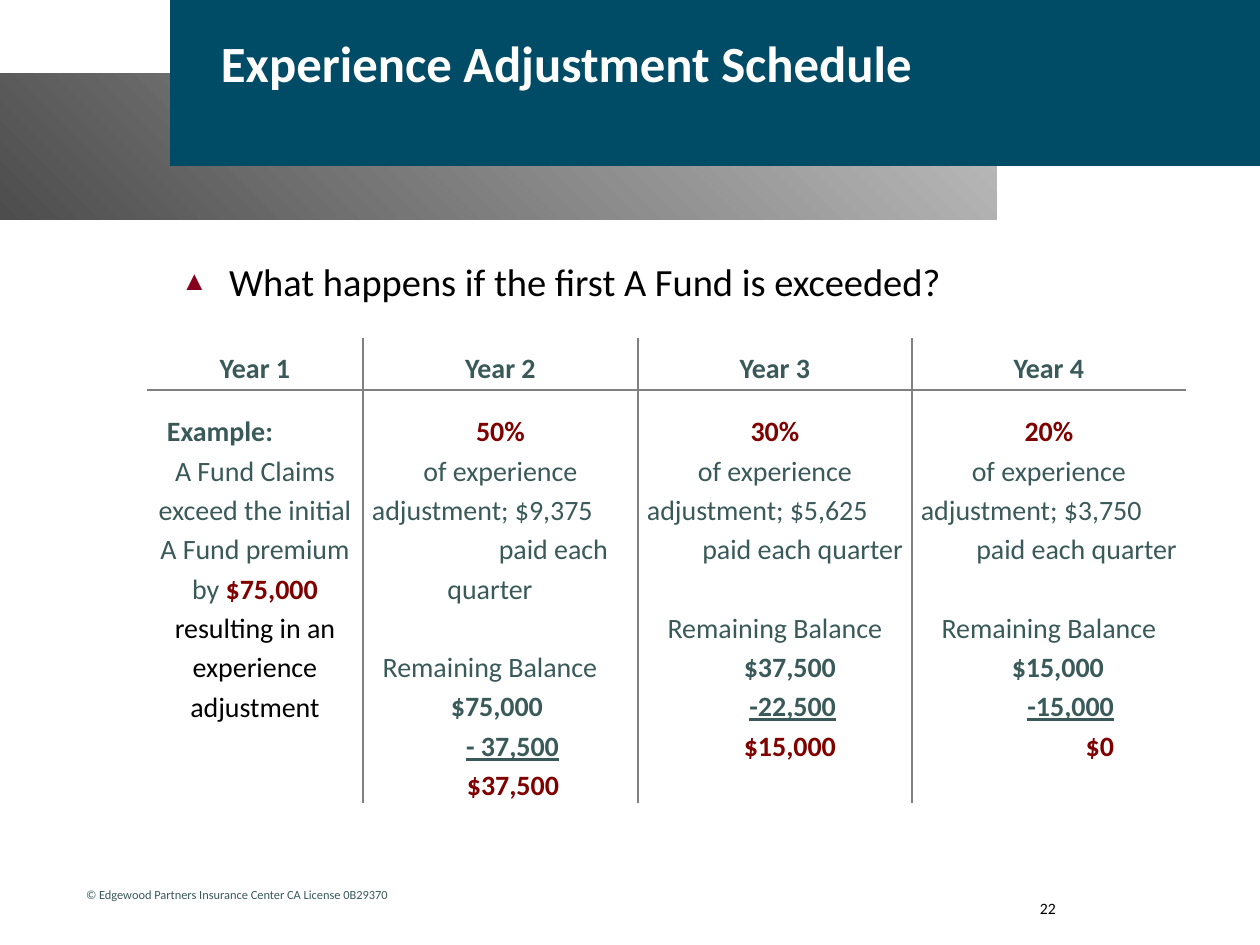
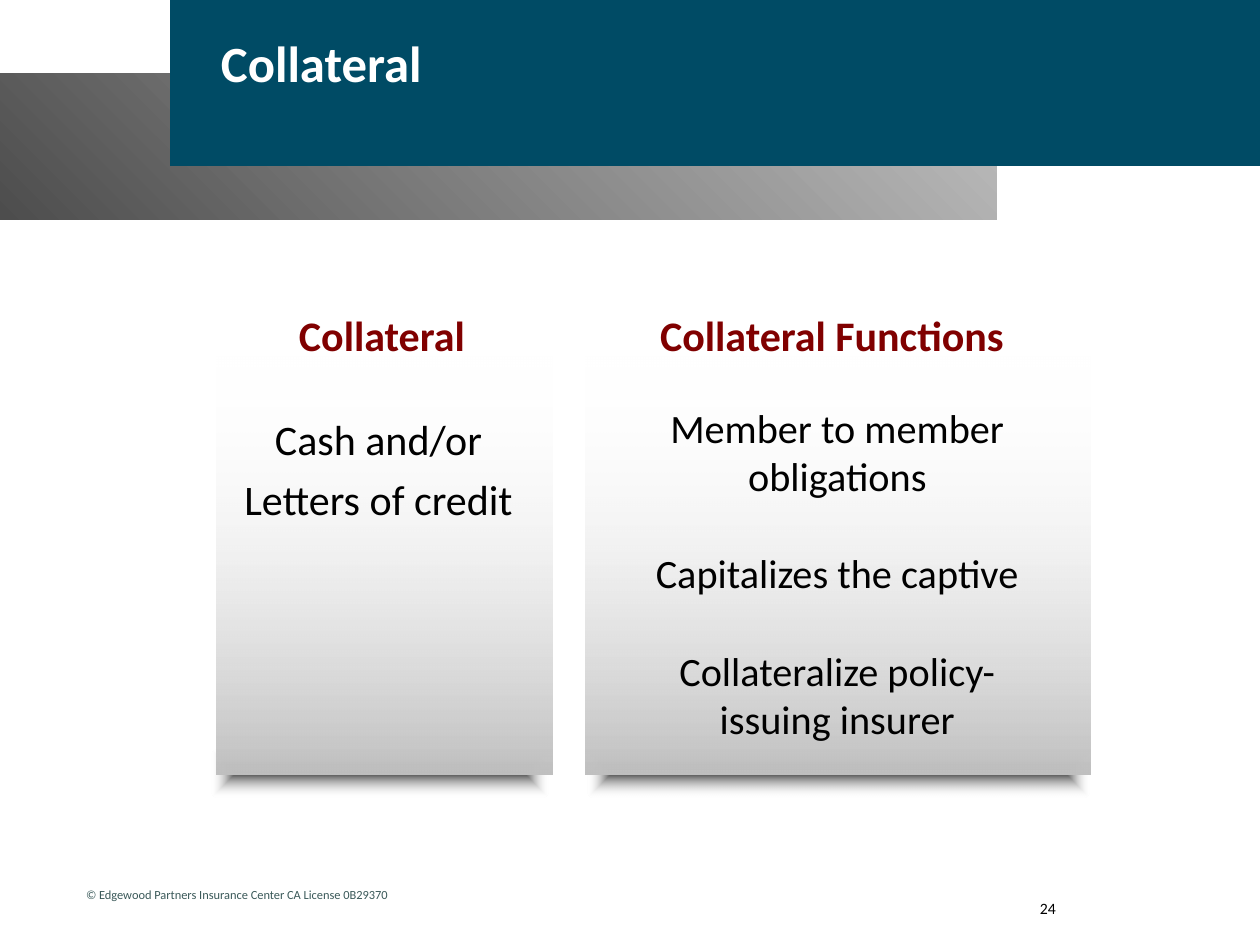
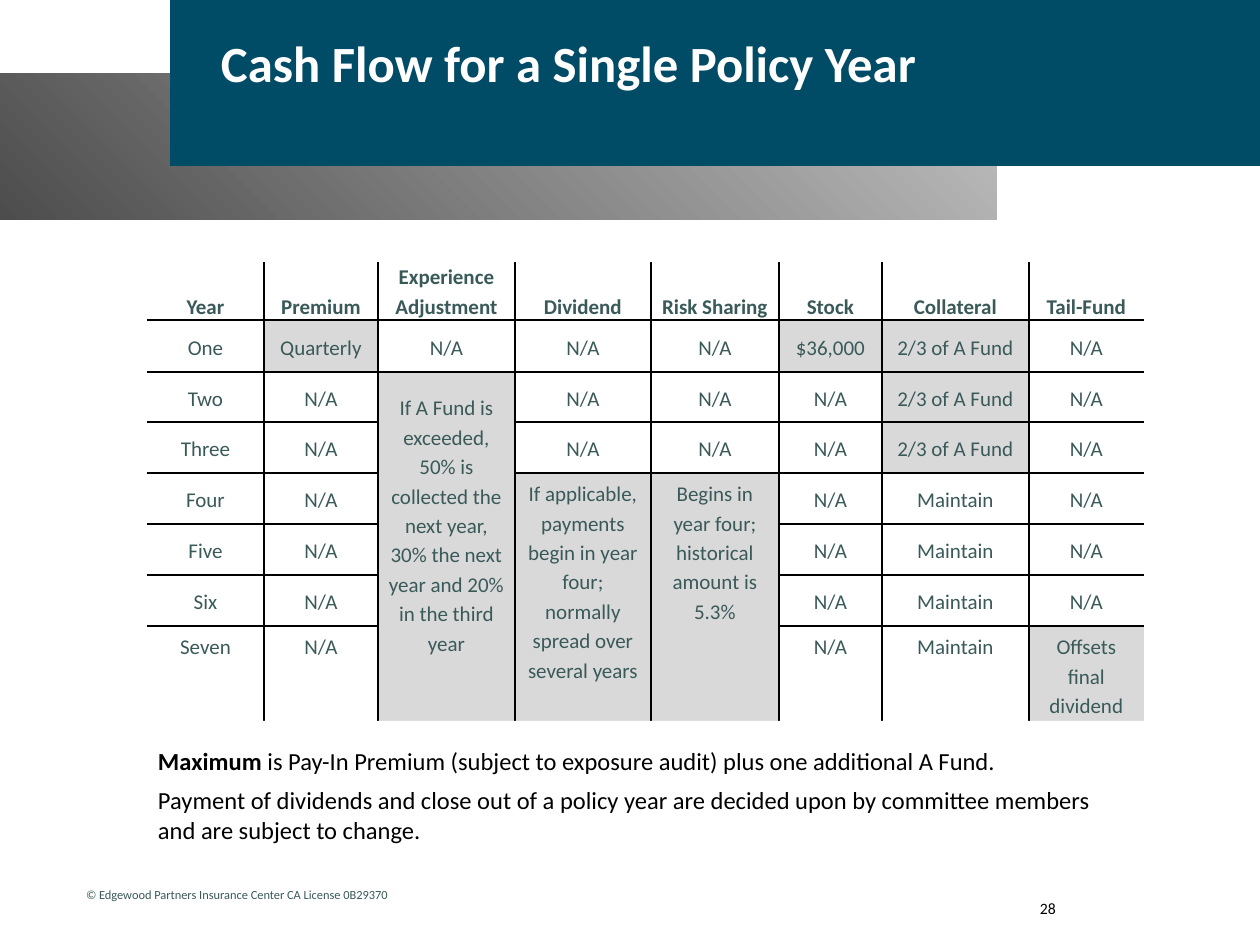
from dataclasses import dataclass

import lxml.etree
import pptx
import pptx.dml.color
import pptx.enum.shapes
import pptx.enum.text
import pptx.oxml
import pptx.oxml.ns
import pptx.util

ALIGN = pptx.enum.text.PP_ALIGN
ANCHOR = pptx.enum.text.MSO_ANCHOR
SHAPE = pptx.enum.shapes.MSO_SHAPE
NO_TABLE_STYLE = "{2D5ABB26-0587-4C30-8999-92F81FD0307C}"


@dataclass(frozen=True)
class Theme:
    font: str = "Calibri"
    navy: str = "004B65"
    slate: str = "3A5959"
    maroon: str = "800000"
    bullet: str = "86001E"
    black: str = "000000"
    white: str = "FFFFFF"
    dark_grey: str = "4D4D4D"
    band_grey: str = "BFBFBF"
    panel_grey: str = "C0C0C0"
    rule_grey: str = "808080"
    cell_grey: str = "D9D9D9"
    title_size: float = 29
    card_size: float = 24
    function_size: float = 23
    bullet_size: float = 22
    schedule_size: float = 16
    note_size: float = 14
    grid_size: float = 12
    number_size: float = 9
    footer_size: float = 7.1


THEME = Theme()


@dataclass
class Span:
    text: str
    size: float
    color: str = THEME.black
    bold: bool = False
    underline: bool = False


@dataclass
class Para:
    spans: list
    align: ALIGN = ALIGN.LEFT
    line: float = 1.0
    before: int = 0
    left: int = 0
    right: int = 0
    bullet: str = ""


@dataclass
class Cell:
    paras: list
    anchor: ANCHOR = ANCHOR.MIDDLE
    top: int = 0
    fill: str = ""


@dataclass
class Card:
    box: tuple
    shadow: tuple
    heading: tuple
    body: tuple


def px(count):
    return pptx.util.Emu(round(count * 914400 / 126))


def place(box):
    return [px(length) for length in box]


def rgb(color):
    return pptx.dml.color.RGBColor.from_string(color)


def add_element(parent, tag, **attributes):
    child = lxml.etree.SubElement(parent, pptx.oxml.ns.qn(tag))
    for name, value in attributes.items():
        child.set(name, str(value))
    return child


def add_bullet(para, mark):
    settings = para._p.get_or_add_pPr()
    settings.set("marL", str(px(48)))
    settings.set("indent", str(-px(48)))
    add_element(add_element(settings, "a:buClr"), "a:srgbClr", val=THEME.bullet)
    add_element(settings, "a:buSzPct", val=70000)
    add_element(settings, "a:buChar", char=mark)


def write(frame, paras):
    for index, source in enumerate(paras):
        para = frame.add_paragraph() if index else frame.paragraphs[0]
        if source.bullet:
            add_bullet(para, source.bullet)
        elif source.left or source.right:
            settings = para._p.get_or_add_pPr()
            settings.set("marL", str(px(source.left)))
            settings.set("marR", str(px(source.right)))
        para.alignment = source.align
        para.line_spacing = source.line
        para.space_before = px(source.before)
        for part in source.spans:
            for row, text in enumerate(part.text.split("\n")):
                if row:
                    para.add_line_break()
                span = para.add_run()
                span.text = text
                span.font.name = THEME.font
                span.font.size = pptx.util.Pt(part.size)
                span.font.bold = part.bold
                span.font.underline = part.underline
                span.font.color.rgb = rgb(part.color)


def set_insets(frame, across, down):
    frame.margin_left = frame.margin_right = px(across)
    frame.margin_top = frame.margin_bottom = px(down)


def add_text(page, box, paras, wrap=True, insets=(13, 6), anchor=ANCHOR.TOP):
    frame = page.shapes.add_textbox(*place(box)).text_frame
    frame.word_wrap = wrap
    frame.vertical_anchor = anchor
    set_insets(frame, *insets)
    write(frame, paras)
    return frame


def fill_placeholder(holder, box, paras, insets):
    holder.left, holder.top, holder.width, holder.height = place(box)
    frame = holder.text_frame
    frame.auto_size = pptx.enum.text.MSO_AUTO_SIZE.NONE
    frame.word_wrap = True
    frame.vertical_anchor = ANCHOR.TOP
    set_insets(frame, *insets)
    write(frame, paras)


def add_block(shapes, box, color="", kind=SHAPE.RECTANGLE):
    block = shapes.add_shape(kind, *place(box))
    block.shadow.inherit = False
    block.line.fill.background()
    if color:
        block.fill.solid()
        block.fill.fore_color.rgb = rgb(color)
    return block


def fill_gradient(block, stops, angle=None):
    gradient = pptx.oxml.parse_xml(
        f'<a:gradFill {pptx.oxml.ns.nsdecls("a")} rotWithShape="1"/>')
    stop_list = add_element(gradient, "a:gsLst")
    for position, color, opacity in stops:
        stop = add_element(stop_list, "a:gs", pos=position * 1000)
        shade = add_element(stop, "a:srgbClr", val=color)
        if opacity < 100:
            add_element(shade, "a:alpha", val=opacity * 1000)
    if angle is None:
        shape_fill = add_element(gradient, "a:path", path="shape")
        add_element(shape_fill, "a:fillToRect", l=50000, t=50000, r=50000, b=50000)
    else:
        add_element(gradient, "a:lin", ang=angle * 60000, scaled=0)
    block._element.spPr.find(pptx.oxml.ns.qn("a:prstGeom")).addnext(gradient)


def build_master(deck, page):
    grey_band = add_block(page.shapes, (-1, 73, 998, 147))
    fill_gradient(grey_band, [(0, THEME.dark_grey, 100), (100, THEME.band_grey, 100)], 315)
    add_block(page.shapes, (170, -1, 1091, 167), THEME.navy)
    add_text(page, (73, 881, 372, 28),
             [Para([Span("© Edgewood Partners Insurance Center CA License 0B29370",
                         THEME.footer_size, THEME.slate)])], wrap=False)
    tree = deck.slide_master.shapes._spTree
    for offset, item in enumerate(list(page.shapes)[-3:]):
        item._element.nvSpPr.cNvPr.set("id", str(20 + offset))
        tree.insert(2 + offset, item._element)


def add_page(deck, layout, title):
    page = deck.slides.add_slide(deck.slide_layouts[layout])
    heading = Span(title, THEME.title_size, THEME.white, True)
    fill_placeholder(page.shapes.title, (221, 26, 987, 59),
                     [Para([heading], line=1.1)], (0, 0))
    return page


def add_number(page, number):
    add_text(page, (1040, 892, 168, 32), [Para([Span(number, THEME.number_size)])],
             insets=(0, 0), anchor=ANCHOR.MIDDLE)


def draw_borders(cell, sides, color):
    settings = cell._tc.get_or_add_tcPr()
    for side in ("L", "R", "T", "B"):
        line = add_element(settings, f"a:ln{side}", w=pptx.util.Pt(1))
        if side in sides:
            add_element(add_element(line, "a:solidFill"), "a:srgbClr", val=color)
        else:
            add_element(line, "a:noFill")


def inner_sides(cell, row, column, last_row, last_column):
    sides = "L" * (column > 0) + "R" * (column < last_column)
    if not cell.is_spanned:
        depth = cell.span_height if cell.is_merge_origin else 1
        sides += "T" * (row > 0) + "B" * (row + depth - 1 < last_row)
    return sides


def add_grid(page, origin, widths, heights, cells, rule, merges=()):
    box = (*origin, sum(widths), sum(heights))
    table = page.shapes.add_table(len(heights), len(widths), *place(box)).table
    table.first_row = table.horz_banding = False
    table._tbl.tblPr.find(pptx.oxml.ns.qn("a:tableStyleId")).text = NO_TABLE_STYLE
    for column, width in zip(table.columns, widths):
        column.width = px(width)
    for row, height in zip(table.rows, heights):
        row.height = px(height)
    for top, bottom, column in merges:
        table.cell(top, column).merge(table.cell(bottom, column))
    for row in range(len(heights)):
        for column in range(len(widths)):
            cell = table.cell(row, column)
            source = cells[row][column]
            draw_borders(cell, inner_sides(cell, row, column, len(heights) - 1,
                                           len(widths) - 1), rule)
            set_insets(cell, 9, 0)
            if source is None:
                cell.fill.background()
                continue
            if source.fill:
                cell.fill.solid()
                cell.fill.fore_color.rgb = rgb(source.fill)
            else:
                cell.fill.background()
            cell.vertical_anchor = source.anchor
            cell.margin_top = px(source.top)
            write(cell.text_frame, source.paras)


def schedule_span(text, color=THEME.slate, bold=False, underline=False):
    return Span(text, THEME.schedule_size, color, bold, underline)


def schedule_para(*spans, align=ALIGN.CENTER, **spacing):
    return Para(list(spans), align, 1.15, **spacing)


def example_cell():
    return Cell([
        schedule_para(schedule_span("Example:", bold=True), align=ALIGN.LEFT, left=11),
        schedule_para(schedule_span("A Fund Claims")),
        schedule_para(schedule_span("exceed the initial A Fund premium")),
        schedule_para(schedule_span("by "),
                      schedule_span("$75,000 ", THEME.maroon, True),
                      schedule_span("resulting in an experience adjustment", THEME.black)),
    ], ANCHOR.TOP, 20)


def year_cell(share, payment, paid, balance, balance_right, deduction, remainder, right):
    paras = [
        schedule_para(schedule_span(share, THEME.maroon, True)),
        schedule_para(schedule_span("of experience")),
        schedule_para(schedule_span(f"adjustment; {payment}"), align=ALIGN.LEFT),
        *paid,
        schedule_para(schedule_span("Remaining Balance"), before=39),
    ]
    amounts = [
        (schedule_span(balance, bold=True), balance_right),
        (schedule_span(deduction, bold=True, underline=True), right),
        (schedule_span(remainder, THEME.maroon, True), right),
    ]
    paras += [schedule_para(span, align=ALIGN.RIGHT, right=gap) for span, gap in amounts]
    return Cell(paras, ANCHOR.TOP, 20)


def build_schedule(deck):
    page = add_page(deck, 1, "Experience Adjustment Schedule")
    build_master(deck, page)
    question = Span("What happens if the first A Fund is exceeded?", THEME.bullet_size)
    fill_placeholder(page.placeholders[1], (168, 252, 1040, 567),
                     [Para([question], bullet="▲")], (13, 6))
    headers = [Cell([schedule_para(schedule_span(f"Year {year}", bold=True))], top=5)
               for year in range(1, 5)]
    split_paid = [
        schedule_para(schedule_span("paid each"), align=ALIGN.RIGHT, right=21),
        schedule_para(schedule_span("quarter")),
    ]
    paid = [schedule_para(schedule_span("paid each quarter"), align=ALIGN.RIGHT)]
    years = [
        example_cell(),
        year_cell("50%", "$9,375", split_paid, "$75,000", 86, "- 37,500", "$37,500", 70),
        year_cell("30%", "$5,625", paid, "$37,500", 67, "-22,500", "$15,000", 67),
        year_cell("20%", "$3,750", paid, "$15,000", 73, "-15,000", "$0", 63),
    ]
    add_grid(page, (147, 338), [216, 275, 274, 274], [52, 411], [headers, years],
             THEME.rule_grey)
    add_number(page, "22")


def add_card(page, card, heading, paras):
    left, top, width, height = card.box
    group = page.shapes.add_group_shape()
    offset, shadow_width = card.shadow
    shadow = add_block(group.shapes, (left + offset, top + height - 25, shadow_width, 48),
                       kind=SHAPE.ROUNDED_RECTANGLE)
    shadow.adjustments[0] = 0.14
    fill_gradient(shadow, [(0, THEME.dark_grey, 100), (100, THEME.white, 0)])
    panel = add_block(group.shapes, card.box)
    fill_gradient(panel, [(0, THEME.white, 0), (100, THEME.panel_grey, 100)], 90)
    offset, heading_width = card.heading
    add_text(page, (left + offset, top - 51, heading_width, 63),
             [Para([Span(heading, THEME.card_size, THEME.maroon, True)], ALIGN.CENTER)])
    offset, body_width, body_height = card.body
    add_text(page, (left + offset, top + 42, body_width, body_height), paras)


def build_collateral(deck):
    page = add_page(deck, 5, "Collateral")
    forms = [Para([Span(text, THEME.card_size)], ALIGN.CENTER, 1.2)
             for text in ("Cash and/or", "Letters of credit")]
    functions = [Para([Span(text, THEME.function_size)], ALIGN.CENTER, before=gap)
                 for text, gap in (("Member to member obligations", 0),
                                   ("Capitalizes the captive", 49),
                                   ("Collateralize policy-\nissuing insurer", 49))]
    add_card(page, Card((586, 355, 505, 420), (2, 501), (16, 460), (1, 501, 350)),
             "Collateral Functions", functions)
    add_card(page, Card((217, 355, 336, 420), (-5, 336), (14, 302), (-10, 343, 135)),
             "Collateral", forms)
    add_number(page, "24")


def flow_cell(text, bold=False, **options):
    span = Span(text, THEME.grid_size, THEME.slate, bold)
    return Cell([Para([span], ALIGN.CENTER, 1.15)], **options)


def build_cash_flow(deck):
    page = add_page(deck, 5, "Cash Flow for a Single Policy Year")
    none = "N/A"
    fund = "2/3 of A Fund"
    adjustment = ("If A Fund is exceeded, 50% is collected the next year, "
                  "30% the next year and 20% in the third year")
    dividend = ("If applicable, payments begin in year four; "
                "normally spread over several years")
    sharing = "Begins in year four; historical amount is 5.3%"
    headers = ["Year", "Premium", "Experience Adjustment", "Dividend", "Risk Sharing",
               "Stock", "Collateral", "Tail-Fund"]
    years = [
        ["One", "Quarterly", none, none, none, "$36,000", fund, none],
        ["Two", none, adjustment, none, none, none, fund, none],
        ["Three", none, None, none, none, none, fund, none],
        ["Four", none, None, dividend, sharing, none, "Maintain", none],
        ["Five", none, None, None, None, none, "Maintain", none],
        ["Six", none, None, None, None, none, "Maintain", none],
        ["Seven", none, None, None, None, none, "Maintain", "Offsets final dividend"],
    ]
    tops = {adjustment: 20, dividend: 5, sharing: 5}
    shaded = {"Quarterly", "$36,000", fund, "Offsets final dividend", *tops}
    cells = [[flow_cell(text, True, anchor=ANCHOR.BOTTOM) for text in headers]]
    for year in years:
        row = []
        for text in year:
            at_top = text in tops or year[0] == "Seven"
            row.append(None if text is None else flow_cell(
                text,
                anchor=ANCHOR.TOP if at_top else ANCHOR.MIDDLE,
                top=tops.get(text, 5) if at_top else 0,
                fill=THEME.cell_grey if text in shaded else ""))
        cells.append(row)
    add_grid(page, (147, 249), [117, 114, 137, 136, 128, 103, 147, 115],
             [71, 52, 50, 51, 51, 51, 51, 174], cells, THEME.black,
             [(2, 7, 2), (4, 7, 3), (4, 7, 4)])
    for margin in ((43, 231, 1176, 31), (96, 721, 1071, 108)):
        add_block(page.shapes, margin, THEME.white)
    add_text(page, (145, 740, 966, 48), [
        Para([Span("Maximum", THEME.note_size, bold=True),
              Span(" is Pay-In Premium (subject to exposure audit) plus one additional "
                   "A Fund.", THEME.note_size)]),
        Para([Span("Payment of dividends and close out of a policy year are decided upon "
                   "by committee members and are subject to change.", THEME.note_size)],
             before=10),
    ])
    add_number(page, "28")


def main():
    deck = pptx.Presentation()
    deck.slide_width, deck.slide_height = px(1260), px(945)
    build_schedule(deck)
    build_collateral(deck)
    build_cash_flow(deck)
    deck.save("out.pptx")


if __name__ == "__main__":
    main()
